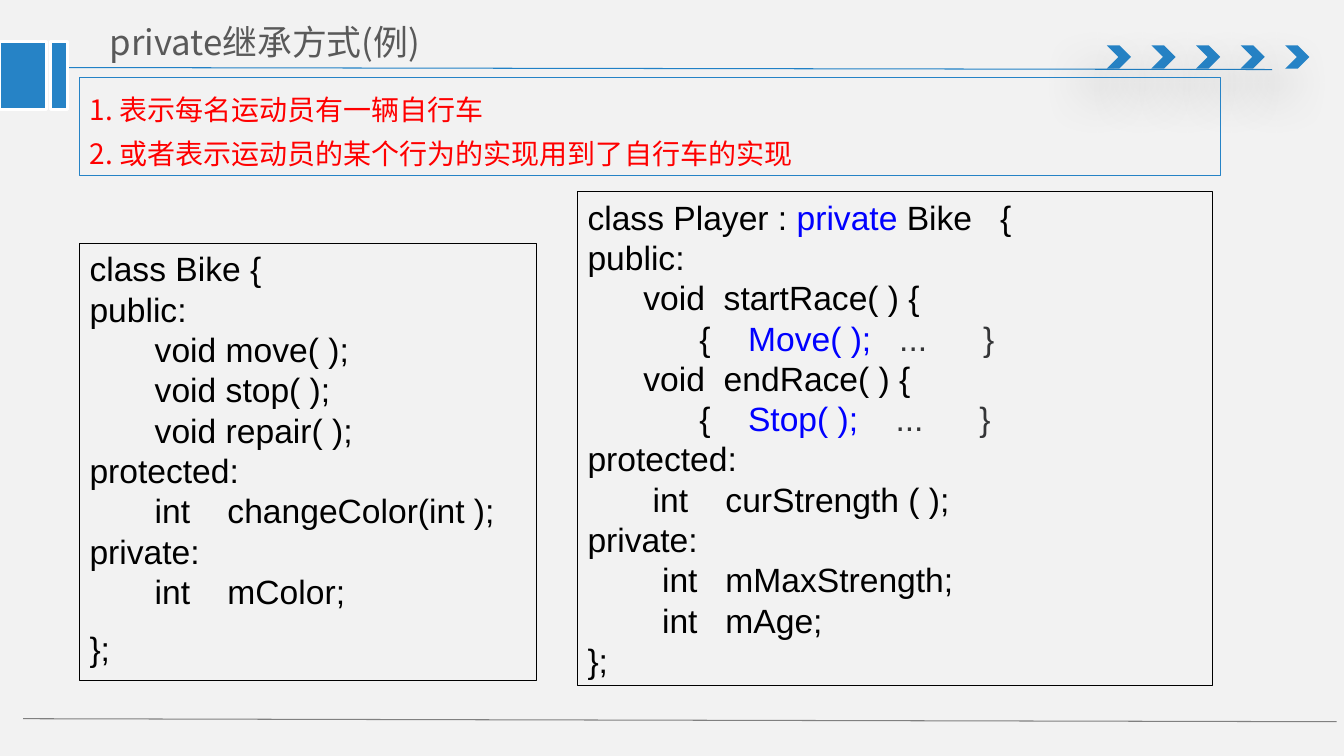
from dataclasses import dataclass

import lxml.etree
import pptx
import pptx.dml.color
import pptx.enum.shapes
import pptx.enum.text
import pptx.oxml.ns
import pptx.util

Pt = pptx.util.Pt
SHAPES = pptx.enum.shapes.MSO_SHAPE
ANCHOR = pptx.enum.text.MSO_ANCHOR
AUTO_SIZE = pptx.enum.text.MSO_AUTO_SIZE

COLORS = {
    "background": "F2F2F2",
    "accent": "2683C6",
    "header_line": "2181C6",
    "footer_line": "808080",
    "white": "FFFFFF",
    "title": "595959",
    "code": "000000",
    "keyword": "0000FF",
    "ellipsis": "343537",
    "note": "FF0000",
}
CODE_FONT = "Arial"
CHINESE_FONT = "Noto Sans CJK SC"


@dataclass
class Rule:
    start: tuple[float, float]
    end: tuple[float, float]
    color: str


@dataclass
class Block:
    left: float
    top: float
    width: float
    height: float
    geometry: SHAPES = SHAPES.RECTANGLE
    fill: str | None = None
    line: str | None = None
    line_width: float = 0.75
    shadow: bool = False


@dataclass
class Text:
    paragraphs: list[list[tuple[str, str]]]
    font: str
    size: float
    frame: dict[str, object]
    spacing: dict[str, object]


RULES = [
    Rule((38.16, 48.24), (908.64, 49.68), "header_line"),
    Rule((16.56, 513.36), (954.72, 515.52), "footer_line"),
]

CHEVRON_LEFT, CHEVRON_PITCH = 790.6, 31.86
DECORATIONS = [
    Block(CHEVRON_LEFT + index * CHEVRON_PITCH, 32.4, 17.3, 16.6,
          SHAPES.CHEVRON, fill="accent", shadow=True)
    for index in range(5)
] + [
    Block(left, 29.5, width, 49, fill="accent", line="white", line_width=2)
    for left, width in [(0, 33.1), (36, 12.2)]
]

BIKE_CODE = """class Bike {
public:
       void move( );
       void stop( );
       void repair( );
protected:
       int    changeColor(int );
private:
       int    mColor;"""

PLAYER_CODE = [
    ("class Player : ", "code"),
    ("private", "keyword"),
    (" Bike   {\npublic:\n      void  startRace( ) {\n            {    ", "code"),
    ("Move( );", "keyword"),
    ("   ...      }\n", "ellipsis"),
    ("      void  endRace( ) {\n            {    ", "code"),
    ("Stop( );", "keyword"),
    ("    ...      }\n", "ellipsis"),
    ("""protected:
       int    curStrength ( );
private:
        int   mMaxStrength;
        int   mAge;
};""", "code"),
]

NOTES = ["1. 表示每名运动员有一辆自行车", "2. 或者表示运动员的某个行为的实现用到了自行车的实现"]

CODE_FRAME = {"vertical_anchor": ANCHOR.TOP, "auto_size": AUTO_SIZE.SHAPE_TO_FIT_TEXT}
TEXT_BLOCKS = [
    (Block(71.28, 10.08, 333.36, 39.6),
     Text([[("private继承方式(例)", "title")]], CHINESE_FONT, 24.9,
          {"vertical_anchor": ANCHOR.MIDDLE}, {})),
    (Block(56.88, 173.8, 326.2, 312.5, line="code"),
     Text([[(BIKE_CODE, "code")], [("};", "code")]], CODE_FONT, 24,
          CODE_FRAME, {"space_before": Pt(12)})),
    (Block(412.6, 136.8, 453.6, 352.8, line="code"),
     Text([PLAYER_CODE], CODE_FONT, 24, CODE_FRAME, {})),
    (Block(56.88, 55.44, 815, 69.84, line="accent"),
     Text([[(note, "note")] for note in NOTES], CHINESE_FONT, 20,
          CODE_FRAME, {"line_spacing": 1.3})),
]


def color(name: str) -> pptx.dml.color.RGBColor:
    return pptx.dml.color.RGBColor.from_string(COLORS[name])


def set_attributes(target: object, values: dict[str, object]) -> None:
    for name, value in values.items():
        setattr(target, name, value)


def add_child(parent, tag: str, **attributes: str):
    return lxml.etree.SubElement(parent, pptx.oxml.ns.qn(tag), attributes)


def draw_rule(slide, rule: Rule) -> None:
    connector = slide.shapes.add_connector(
        pptx.enum.shapes.MSO_CONNECTOR.STRAIGHT,
        *(Pt(value) for value in rule.start + rule.end))
    connector.line.color.rgb = color(rule.color)
    connector.line.width = Pt(0.75)
    add_child(connector._element.spPr, "a:effectLst")


def add_shadow(shape) -> None:
    effects = shape._element.spPr.find(pptx.oxml.ns.qn("a:effectLst"))
    shadow = add_child(effects, "a:outerShdw", blurRad=str(Pt(36)),
                       dist=str(Pt(24)), dir=str(130 * 60000), rotWithShape="0")
    shade = add_child(shadow, "a:srgbClr", val=COLORS["code"])
    add_child(shade, "a:alpha", val="38000")


def draw_block(slide, block: Block):
    bounds = (block.left, block.top, block.width, block.height)
    shape = slide.shapes.add_shape(block.geometry, *(Pt(value) for value in bounds))
    shape.shadow.inherit = False
    if block.fill:
        shape.fill.solid()
        shape.fill.fore_color.rgb = color(block.fill)
    else:
        shape.fill.background()
    if block.line:
        shape.line.color.rgb = color(block.line)
        shape.line.width = Pt(block.line_width)
    else:
        shape.line.fill.background()
    if block.shadow:
        add_shadow(shape)
    return shape


def add_text(shape, text: Text) -> None:
    frame = shape.text_frame
    set_attributes(frame, {"word_wrap": True, **text.frame})
    for index, pieces in enumerate(text.paragraphs):
        paragraph = frame.add_paragraph() if index else frame.paragraphs[0]
        paragraph.alignment = pptx.enum.text.PP_ALIGN.LEFT
        set_attributes(paragraph, text.spacing)
        if index == 0:
            paragraph.space_before = Pt(0)
        for content, color_name in pieces:
            for number, line in enumerate(content.split("\n")):
                if number:
                    paragraph.add_line_break()
                if line:
                    run = paragraph.add_run()
                    run.text = line
                    set_attributes(run.font, {"name": text.font, "size": Pt(text.size)})
                    run.font.color.rgb = color(color_name)
                    add_child(run.font._element, "a:ea", typeface=text.font)


def main() -> None:
    presentation = pptx.Presentation()
    set_attributes(presentation, {"slide_width": Pt(960), "slide_height": Pt(540)})
    slide = presentation.slides.add_slide(presentation.slide_layouts[6])
    slide.background.fill.solid()
    slide.background.fill.fore_color.rgb = color("background")
    for rule in RULES:
        draw_rule(slide, rule)
    for block in DECORATIONS:
        draw_block(slide, block)
    for block, text in TEXT_BLOCKS:
        add_text(draw_block(slide, block), text)
    presentation.save("out.pptx")


if __name__ == "__main__":
    main()
